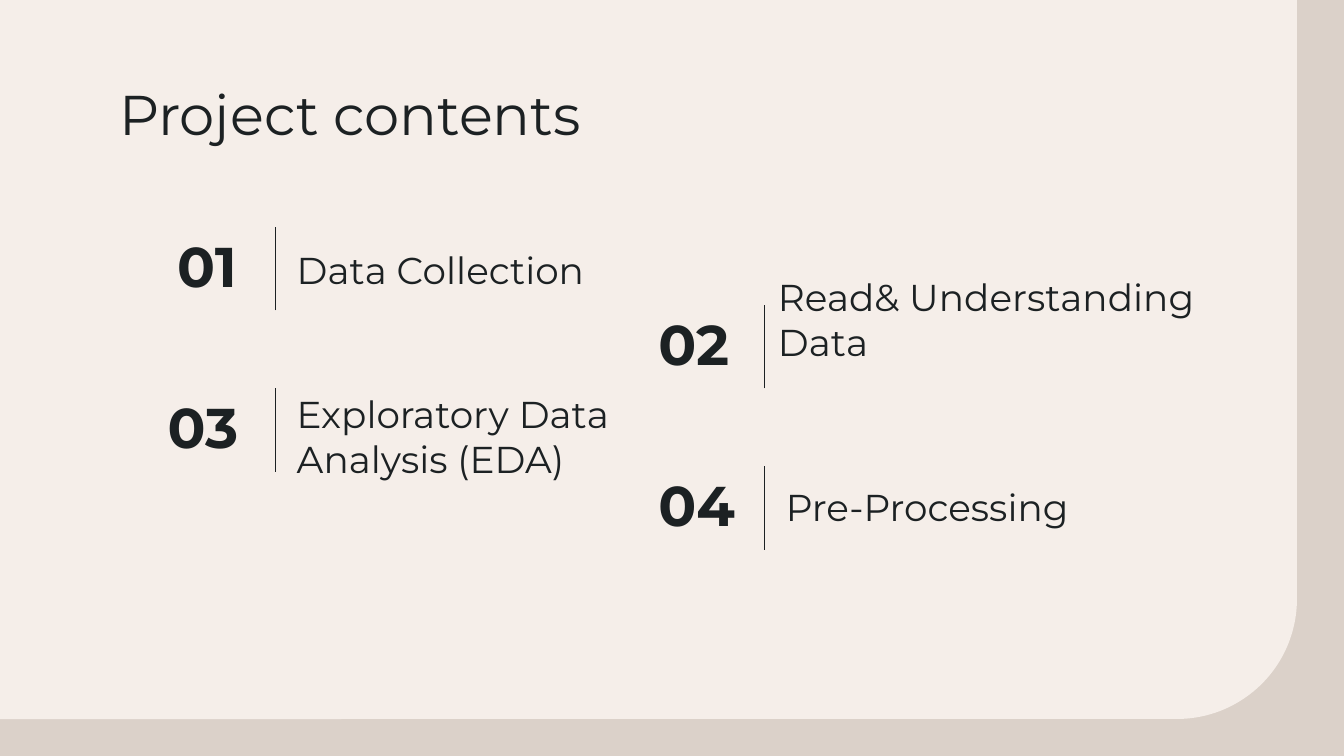
"""Build the project contents slide with four numbered topics."""
from lxml import etree
from pptx import Presentation
from pptx.dml.color import RGBColor
from pptx.enum import shapes, text
from pptx.oxml.ns import qn
from pptx.util import Inches, Pt

INK = "1C2123"


def color(code):
    return RGBColor.from_string(code)


def label(words, left, top, width, height, size, bold=False, anchor="BOTTOM"):
    box = slide.shapes.add_textbox(Inches(left), Inches(top), Inches(width), Inches(height))
    frame = box.text_frame
    frame.word_wrap = True
    frame.vertical_anchor = text.MSO_ANCHOR[anchor]
    frame.margin_left = frame.margin_right = Inches(0.1)
    frame.margin_top = frame.margin_bottom = Inches(0.1)
    run = frame.paragraphs[0].add_run()
    run.text = words
    run.font.name = "Montserrat"
    run.font.size = Pt(size)
    run.font.bold = bold
    run.font.color.rgb = color(INK)


deck = Presentation()
deck.slide_width = Inches(10)
deck.slide_height = deck.slide_width * 9 // 16
slide = deck.slides.add_slide(deck.slide_layouts[6])
slide.background.fill.solid()
slide.background.fill.fore_color.rgb = color("DBD1C9")

wide, high = 9.65, 5.35
shift = (wide - high) / 2
panel = slide.shapes.add_shape(
    shapes.MSO_SHAPE.ROUND_1_RECTANGLE,
    Inches(shift), Inches(-shift), Inches(high), Inches(wide))
panel.rotation = 90
panel.adjustments[0] = 0.167
panel.shadow.inherit = False
panel.fill.solid()
panel.fill.fore_color.rgb = color("F5EEE9")
panel.line.fill.background()

label("Project contents", 0.79, 0.49, 8.43, 0.63, 30, anchor="TOP")

topics = [
    ("Data Collection", 2.05, 1.69, 1.22, (2.11, 1.74, 2.47, 0.53)),
    ("Read& Understanding Data", 5.69, 2.27, 4.8, (5.69, 2.28, 4.02, 0.53)),
    ("Exploratory Data Analysis (EDA)", 2.05, 2.89, 1.15, (2.11, 3.05, 3.34, 0.63)),
    ("Pre-Processing", 5.69, 3.47, 4.8, (5.75, 3.51, 2.47, 0.53)),
]
for count, (name, rule, top, left, area) in enumerate(topics, 1):
    label(f"{count:02}", left, top, 0.84, 0.63, 30, bold=True)
    label(name, *area, 20)
    line = slide.shapes.add_connector(
        shapes.MSO_CONNECTOR.STRAIGHT,
        Inches(rule), Inches(top + 0.62), Inches(rule), Inches(top))
    line.line.color.rgb = color(INK)
    line.line.width = Pt(0.75)
    etree.SubElement(line.element.spPr, qn("a:effectLst"))

deck.save("out.pptx")
